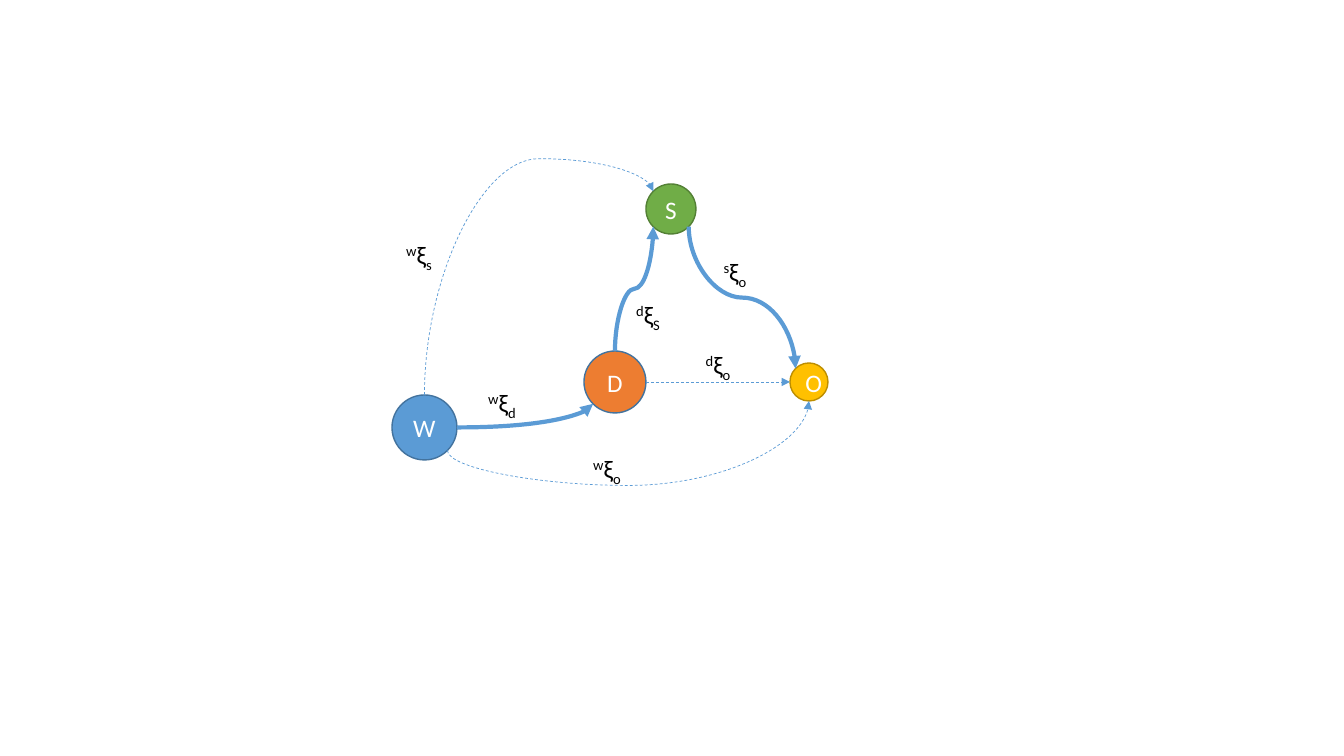
import math

from lxml import etree
from pptx import Presentation
from pptx import util as u
from pptx.dml import color
from pptx.enum import dml, shapes, text
from pptx.oxml import ns

SCALE = 914400 / 100.8
FONT = "Calibri"
COLORS = {
    "blue": "5B9BD5", "blue_edge": "43739E", "orange": "ED7D31",
    "green": "70AD47", "green_edge": "538035", "yellow": "FFC000",
    "yellow_edge": "BD8E00", "white": "FFFFFF", "black": "000000",
}
NODES = {
    "W": (392, 395, 65, "blue", "blue_edge"),
    "D": (584, 351, 62, "orange", "blue_edge"),
    "S": (646, 184, 50, "green", "green_edge"),
    "O": (790, 363, 38, "yellow", "yellow_edge"),
}
SITES = ("top", "top left", "left", "bottom left",
         "bottom", "bottom right", "right", "top right")
MEASURED, DERIVED = (3, None), (0.5, dml.MSO_LINE.DASH)
LINKS = [
    ("W", "right", "D", "bottom left", MEASURED, None),
    ("D", "top", "S", "bottom left", MEASURED, 50000),
    ("S", "bottom right", "O", "top left", MEASURED, 50000),
    ("W", "top", "S", "top left", DERIVED, 116000),
    ("W", "bottom right", "O", "bottom", DERIVED, -70700),
    ("D", "right", "O", "left", DERIVED, 50000),
]
LABELS = [
    (475, 382, "w", "d"), (580, 448, "w", "o"), (392, 234, "w", "s"),
    (621, 294, "d", "S"), (691, 344, "d", "o"), (708, 251, "s", "o"),
]


def px(value):
    """Turn pixels into EMU."""
    return u.Emu(round(value * SCALE))


def rgb(name):
    """Return the named colour."""
    return color.RGBColor.from_string(COLORS[name])


def add_run(para, content, ink, baseline=0):
    """Add one formatted run, raised or lowered by baseline."""
    span = para.add_run()
    span.text = content
    span.font.name = FONT
    span.font.size = u.Pt(18)
    span.font.color.rgb = rgb(ink)
    if baseline:
        span._r.get_or_add_rPr().set("baseline", str(baseline))


def add_node(slide, name):
    """Draw a lettered circle."""
    left, top, size, fill, edge = NODES[name]
    node = slide.shapes.add_shape(
        shapes.MSO_SHAPE.OVAL, px(left), px(top), px(size), px(size))
    node.shadow.inherit = False
    node.fill.solid()
    node.fill.fore_color.rgb = rgb(fill)
    node.line.color.rgb = rgb(edge)
    node.line.width = u.Pt(1)
    node.text_frame.vertical_anchor = text.MSO_ANCHOR.MIDDLE
    para = node.text_frame.paragraphs[0]
    para.alignment = text.PP_ALIGN.CENTER
    add_run(para, name, "white")
    return node


def site_point(name, site):
    """Locate a connection site on a circle's edge."""
    left, top, size = NODES[name][:3]
    angle = math.radians(90 + 45 * SITES.index(site))
    radius = size / 2
    return (left + radius + radius * math.cos(angle),
            top + radius - radius * math.sin(angle))


def turn_vertical(link, rising):
    """Rotate the connector's frame so that it leaves vertically."""
    left, top, width, height = link.left, link.top, link.width, link.height
    link.left = left + (width - height) // 2
    link.top = top + (height - width) // 2
    link.width, link.height = height, width
    frame = link._element.spPr.find(ns.qn("a:xfrm"))
    frame.set("rot", str((90 if rising else 270) * 60000))
    frame.set("flipH", "1")
    frame.set("flipV", "1" if rising else "0")


def add_link(slide, circles, start, start_site, end, end_site, style, bend):
    """Draw a curved arrow glued to two circles."""
    x1, y1 = site_point(start, start_site)
    x2, y2 = site_point(end, end_site)
    link = slide.shapes.add_connector(
        shapes.MSO_CONNECTOR.CURVE, px(x1), px(y1), px(x2), px(y2))
    if start_site != "right":
        turn_vertical(link, y2 < y1)
    properties = link._element.spPr
    geometry = properties.find(ns.qn("a:prstGeom"))
    if bend is None:
        geometry.set("prst", "curvedConnector2")
    else:
        guides = geometry.find(ns.qn("a:avLst"))
        etree.SubElement(guides, ns.qn("a:gd"), name="adj1", fmla=f"val {bend}")
    glue = link._element.nvCxnSpPr.cNvCxnSpPr
    for tag, name, site in (("a:stCxn", start, start_site),
                            ("a:endCxn", end, end_site)):
        etree.SubElement(glue, ns.qn(tag), id=str(circles[name].shape_id),
                         idx=str(SITES.index(site)))
    width, dash = style
    link.line.color.rgb = rgb("blue")
    link.line.width = u.Pt(width)
    if dash:
        link.line.dash_style = dash
    etree.SubElement(properties.find(ns.qn("a:ln")), ns.qn("a:tailEnd"),
                     type="triangle")
    etree.SubElement(properties, ns.qn("a:effectLst"))


def add_label(slide, left, top, frame, target):
    """Write a pose symbol with its frame and target marks."""
    box = slide.shapes.add_textbox(px(left), px(top), px(54), px(40))
    box.text_frame.word_wrap = True
    box.text_frame.auto_size = text.MSO_AUTO_SIZE.SHAPE_TO_FIT_TEXT
    para = box.text_frame.paragraphs[0]
    para.alignment = text.PP_ALIGN.CENTER
    add_run(para, frame, "black", 30000)
    add_run(para, "ξ", "black")
    add_run(para, target, "black", -25000)


def main():
    """Build the pose graph slide."""
    deck = Presentation()
    deck.slide_width, deck.slide_height = px(1344), px(756)
    slide = deck.slides.add_slide(deck.slide_layouts[6])
    circles = {name: add_node(slide, name) for name in NODES}
    for link in LINKS:
        add_link(slide, circles, *link)
    for label in LABELS:
        add_label(slide, *label)
    deck.save("out.pptx")


main()
